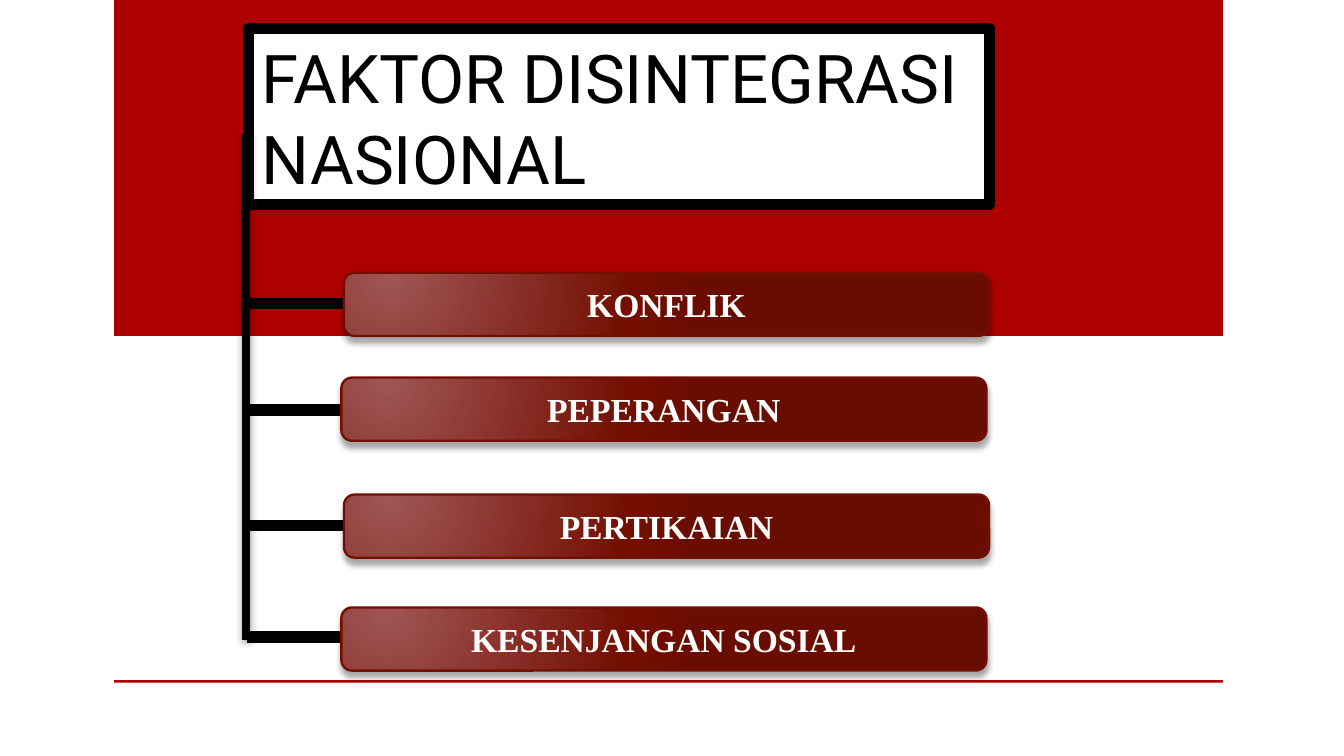
from dataclasses import dataclass

from pptx import Presentation
from pptx.dml.color import RGBColor
from pptx.enum.shapes import MSO_CONNECTOR, MSO_SHAPE
from pptx.enum.text import MSO_ANCHOR, PP_ALIGN
from pptx.oxml import parse_xml
from pptx.oxml.ns import nsdecls, qn
from pptx.util import Inches, Pt

RED = RGBColor(0xAD, 0x01, 0x01)
MAROON = RGBColor(0x73, 0x0E, 0x00)
LIGHT_MAROON = RGBColor(0x9F, 0x55, 0x54)
DARK_MAROON = RGBColor(0x68, 0x0D, 0x00)
BLACK = RGBColor(0, 0, 0)
WHITE = RGBColor(0xFF, 0xFF, 0xFF)

SLIDE_WIDTH = Inches(10)
SLIDE_SIZE = {"slide_width": SLIDE_WIDTH, "slide_height": SLIDE_WIDTH * 9 // 16}
GRADIENT_STOPS = ((0, LIGHT_MAROON), (76, MAROON), (100, DARK_MAROON))
TITLE_FONT = {"name": "Roboto", "size": Pt(36), "bold": False}
FACTOR_FONT = {"name": "Times New Roman", "size": Pt(18), "bold": True}
TITLE_FRAME = {"word_wrap": True, "vertical_anchor": MSO_ANCHOR.BOTTOM}
FACTOR_FRAME = {"word_wrap": True, "vertical_anchor": MSO_ANCHOR.MIDDLE}


@dataclass(frozen=True)
class Box:
    left: float
    top: float
    width: float
    height: float


@dataclass(frozen=True)
class Shadow:
    opacity: int
    blur: int
    distance: int
    angle: int


@dataclass(frozen=True)
class Factor:
    text: str
    left: float
    top: float
    branch_left: float
    branch_y: float


FACTORS = (
    Factor("KONFLIK", 2.56, 2.03, 1.84, 2.26),
    Factor("PEPERANGAN", 2.54, 2.81, 1.84, 3.05),
    Factor("PERTIKAIAN", 2.56, 3.68, 1.83, 3.91),
    Factor("KESENJANGAN SOSIAL", 2.54, 4.52, 1.84, 4.74),
)
FACTOR_WIDTH, FACTOR_HEIGHT = 4.8, 0.47
BRANCH_LENGTH = 0.86
TRUNK_SHADOW = Shadow(40, 4, 1, 88)
FACTOR_SHADOW = Shadow(35, 3, 3, 90)


def set_values(target, values: dict) -> None:
    for name, value in values.items():
        setattr(target, name, value)


def set_shadow(sp, shadow: Shadow | None) -> None:
    props = sp._element.spPr
    for old in props.findall(qn("a:effectLst")):
        props.remove(old)
    effect = ""
    if shadow:
        effect = (
            f'<a:outerShdw blurRad="{Pt(shadow.blur)}" dist="{Pt(shadow.distance)}" '
            f'dir="{shadow.angle * 60000}" algn="ctr" rotWithShape="0">'
            f'<a:srgbClr val="{BLACK}"><a:alpha val="{shadow.opacity * 1000}"/>'
            "</a:srgbClr></a:outerShdw>"
        )
    props.append(parse_xml(f'<a:effectLst {nsdecls("a")}>{effect}</a:effectLst>'))


def set_radial_fill(sp) -> None:
    stops = "".join(
        f'<a:gs pos="{pos * 1000}"><a:srgbClr val="{color}"/></a:gs>'
        for pos, color in GRADIENT_STOPS
    )
    gradient = parse_xml(
        f'<a:gradFill {nsdecls("a")} rotWithShape="1"><a:gsLst>{stops}</a:gsLst>'
        '<a:path path="circle">'
        '<a:fillToRect l="15000" t="15000" r="100000" b="100000"/>'
        "</a:path></a:gradFill>"
    )
    props = sp._element.spPr
    props.replace(props.find(qn("a:solidFill")), gradient)


def add_box(s, kind: MSO_SHAPE, box: Box, fill: RGBColor,
            line: RGBColor | None = None, weight: float = 0):
    sp = s.shapes.add_shape(kind, Inches(box.left), Inches(box.top),
                            Inches(box.width), Inches(box.height))
    sp.shadow.inherit = False
    sp.fill.solid()
    sp.fill.fore_color.rgb = fill
    if line is None:
        sp.line.fill.background()
    else:
        sp.line.color.rgb = line
        sp.line.width = Pt(weight)
    return sp


def add_line(s, x1: float, y1: float, x2: float, y2: float,
             weight: float, shadow: Shadow | None = None) -> None:
    sp = s.shapes.add_connector(MSO_CONNECTOR.STRAIGHT, Inches(x1), Inches(y1),
                                Inches(x2), Inches(y2))
    sp.line.color.rgb = BLACK
    sp.line.width = Pt(weight)
    set_shadow(sp, shadow)


def write_text(sp, text: str, frame: dict, font: dict,
               color: RGBColor, align: PP_ALIGN) -> None:
    tf = sp.text_frame
    set_values(tf, frame)
    p = tf.paragraphs[0]
    p.alignment = align
    r = p.add_run()
    r.text = text
    set_values(r.font, font)
    r.font.color.rgb = color


def add_factor(s, factor: Factor) -> None:
    box = Box(factor.left, factor.top, FACTOR_WIDTH, FACTOR_HEIGHT)
    sp = add_box(s, MSO_SHAPE.ROUNDED_RECTANGLE, box, MAROON, MAROON, 1.25)
    set_radial_fill(sp)
    set_shadow(sp, FACTOR_SHADOW)
    write_text(sp, factor.text, FACTOR_FRAME, FACTOR_FONT, WHITE, PP_ALIGN.CENTER)


def main() -> None:
    prs = Presentation()
    set_values(prs, SLIDE_SIZE)
    s = prs.slides.add_slide(prs.slide_layouts[6])

    for band in (Box(0.85, 0, 8.25, 2.5), Box(0.85, 5.06, 8.25, 0.02)):
        add_box(s, MSO_SHAPE.RECTANGLE, band, RED)

    title = add_box(s, MSO_SHAPE.RECTANGLE, Box(1.85, 0.21, 5.51, 1.31),
                    WHITE, BLACK, 6)
    write_text(title, "FAKTOR DISINTEGRASI NASIONAL", TITLE_FRAME, TITLE_FONT,
               BLACK, PP_ALIGN.LEFT)

    add_line(s, 1.83, 1, 1.83, 4.76, 4.5, TRUNK_SHADOW)
    for factor in FACTORS:
        add_line(s, factor.branch_left, factor.branch_y,
                 factor.branch_left + BRANCH_LENGTH, factor.branch_y, 6)
    for factor in FACTORS:
        add_factor(s, factor)

    prs.save("out.pptx")


if __name__ == "__main__":
    main()
